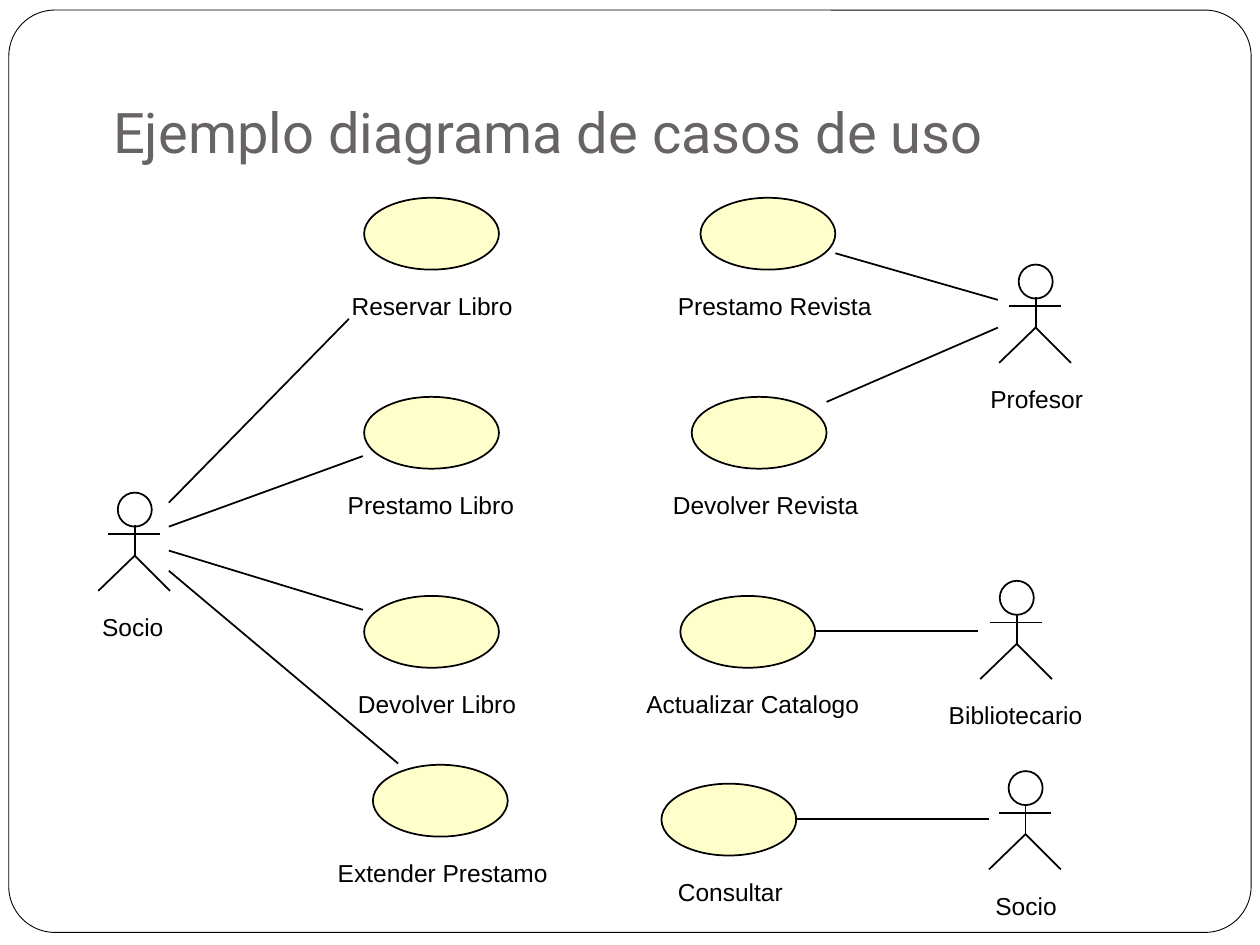
from dataclasses import dataclass

from lxml.etree import SubElement
from pptx import Presentation
from pptx.dml.color import RGBColor
from pptx.enum.shapes import MSO_CONNECTOR as Connector, MSO_SHAPE as Shape
from pptx.enum.text import MSO_ANCHOR as Anchor, MSO_AUTO_SIZE as AutoSize
from pptx.oxml.ns import qn
from pptx.util import Inches, Pt


@dataclass(frozen=True)
class Theme:
    """Colours, fonts and sizes of the slide."""
    paper: RGBColor = RGBColor(0xFF, 0xFF, 0xFF)
    ink: RGBColor = RGBColor(0, 0, 0)
    title: RGBColor = RGBColor(0x69, 0x64, 0x64)
    use_case: RGBColor = RGBColor(0xFF, 0xFF, 0xCC)
    title_font: str = "Roboto"
    label_font: str = "Arial"
    title_size: float = 32
    label_size: float = 14
    frame_line: float = 0.5
    line: float = 1


THEME = Theme()
LABEL_HEIGHT = 0.24
OVAL_WIDTH, OVAL_HEIGHT = 1.07, 0.57
HEAD = 0.27

# Oval left and top, label, label left and width
USE_CASES = [
    (2.89, 1.57, "Reservar Libro", 2.79, 1.28),
    (2.89, 3.15, "Prestamo Libro", 2.76, 1.33),
    (2.89, 4.73, "Devolver Libro", 2.84, 1.26),
    (2.96, 6.07, "Extender Prestamo", 2.68, 1.68),
    (5.56, 1.57, "Prestamo Revista", 5.38, 1.55),
    (5.49, 3.15, "Devolver Revista", 5.34, 1.48),
    (5.40, 4.73, "Actualizar Catalogo", 5.13, 1.70),
    (5.25, 6.22, "Consultar", 5.38, 0.84),
]

# Body centre, head top, label, label left and width
ACTORS = [
    (1.07, 3.91, "Socio", 0.81, 0.49),
    (8.22, 2.10, "Profesor", 7.86, 0.74),
    (8.07, 4.61, "Bibliotecario", 7.53, 1.07),
    (8.14, 6.12, "Socio", 7.90, 0.49),
]

# Use case end, actor end
ASSOCIATIONS = [
    ((2.77, 2.53), (1.34, 3.99)),
    ((2.88, 3.62), (1.34, 4.18)),
    ((2.88, 4.84), (1.34, 4.37)),
    ((3.16, 6.06), (1.34, 4.53)),
    ((6.63, 2.01), (7.92, 2.38)),
    ((6.56, 3.19), (7.92, 2.60)),
    ((6.47, 5.01), (7.76, 5.01)),
    ((6.31, 6.50), (7.85, 6.50)),
]


def style_shape(shape, fill=None, line_width=THEME.line):
    """Set fill and outline, and remove the shadow."""
    shape.shadow.inherit = False
    if fill is None:
        shape.fill.background()
    else:
        shape.fill.solid()
        shape.fill.fore_color.rgb = fill
    shape.line.color.rgb = THEME.ink
    shape.line.width = Pt(line_width)


def add_shape(slide, kind, left, top, width, height, **style):
    """Add a styled preset shape."""
    shape = slide.shapes.add_shape(
        kind, Inches(left), Inches(top), Inches(width), Inches(height))
    style_shape(shape, **style)
    return shape


def add_line(slide, start, end):
    """Add a straight line between two points."""
    line = slide.shapes.add_connector(
        Connector.STRAIGHT, *(Inches(value) for value in (*start, *end)))
    line.line.color.rgb = THEME.ink
    line.line.width = Pt(THEME.line)
    SubElement(line._element.spPr, qn("a:effectLst"))


def add_text(slide, text, left, top, width, height, *, font=THEME.label_font,
             size=THEME.label_size, color=THEME.ink, anchor=Anchor.TOP,
             insets=(0, 0, 0, 0), wrap=False, auto_size=AutoSize.SHAPE_TO_FIT_TEXT):
    """Add one formatted line of text."""
    box = slide.shapes.add_textbox(
        Inches(left), Inches(top), Inches(width), Inches(height))
    frame = box.text_frame
    frame.word_wrap = wrap
    frame.auto_size = auto_size
    frame.vertical_anchor = anchor
    (frame.margin_left, frame.margin_top, frame.margin_right,
     frame.margin_bottom) = (Inches(inset) for inset in insets)
    run = frame.paragraphs[0].add_run()
    run.text = text
    run.font.name = font
    run.font.size = Pt(size)
    run.font.color.rgb = color


def add_use_case(slide, left, top, label, label_left, label_width):
    """Add an oval with its label below."""
    add_shape(slide, Shape.OVAL, left, top, OVAL_WIDTH, OVAL_HEIGHT,
              fill=THEME.use_case)
    add_text(slide, label, label_left, top + 0.74, label_width, LABEL_HEIGHT)


def add_actor(slide, center, top, label, label_left, label_width):
    """Add a stick figure with its label below."""
    neck, arms, hip, feet = (top + drop for drop in (0.26, 0.33, 0.5, 0.78))
    add_shape(slide, Shape.OVAL, center - HEAD / 2, top, HEAD, HEAD)
    add_line(slide, (center, neck), (center, hip))
    add_line(slide, (center - 0.21, arms), (center + 0.2, arms))
    builder = slide.shapes.build_freeform(Inches(center - 0.29), Inches(feet))
    builder.add_line_segments(
        [(Inches(center), Inches(hip)), (Inches(center + 0.28), Inches(feet))],
        close=False)
    style_shape(builder.convert_to_shape())
    add_text(slide, label, label_left, top + 0.95, label_width, LABEL_HEIGHT)


def add_association(slide, use_case_end, actor_end):
    """Link a use case and an actor with two halves from the midpoint."""
    middle = tuple((a + b) / 2 for a, b in zip(use_case_end, actor_end))
    for end in (use_case_end, actor_end):
        add_line(slide, middle, end)


def main():
    """Build and save the slide."""
    presentation = Presentation()
    presentation.slide_width = Inches(10)
    presentation.slide_height = Inches(7.5)
    slide = presentation.slides.add_slide(presentation.slide_layouts[6])

    frame = add_shape(slide, Shape.ROUNDED_RECTANGLE, 0.07, 0.08, 9.86, 7.32,
                      fill=THEME.paper, line_width=THEME.frame_line)
    frame.adjustments[0] = 0.05
    add_text(slide, "Ejemplo diagrama de casos de uso", 0.8, 0.16, 8.5, 1.25,
             font=THEME.title_font, size=THEME.title_size, color=THEME.title,
             anchor=Anchor.BOTTOM, insets=(0.1, 0.05, 0.1, 0.1), wrap=True,
             auto_size=AutoSize.NONE)
    for use_case in USE_CASES:
        add_use_case(slide, *use_case)
    for actor in ACTORS:
        add_actor(slide, *actor)
    for association in ASSOCIATIONS:
        add_association(slide, *association)

    presentation.save("out.pptx")


main()
